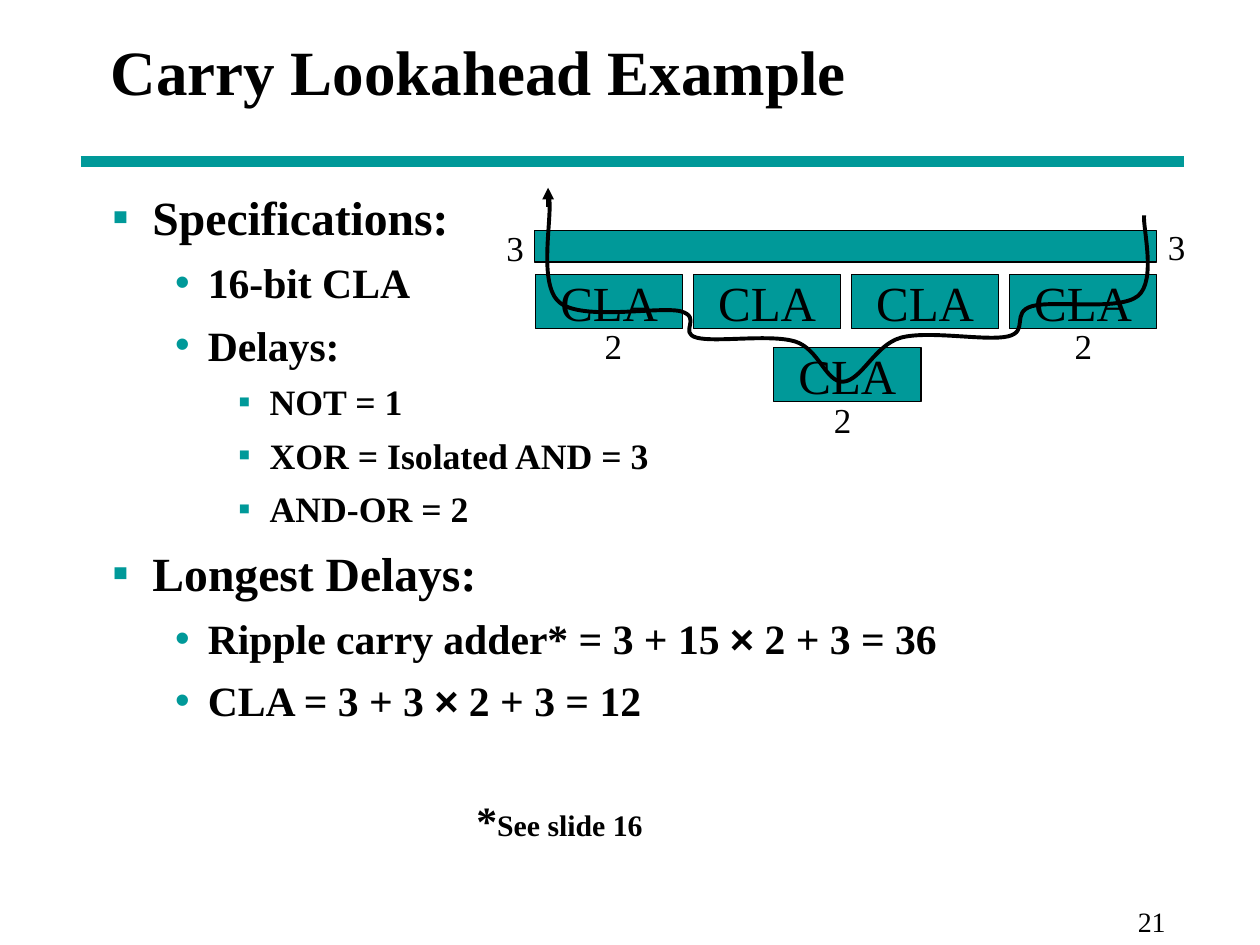
from lxml.etree import SubElement
from pptx import Presentation
from pptx.dml.color import RGBColor
from pptx.enum.shapes import MSO_CONNECTOR, MSO_SHAPE
from pptx.enum.text import MSO_ANCHOR, MSO_AUTO_SIZE, PP_ALIGN
from pptx.oxml.ns import qn
from pptx.util import Pt

PX = 9144  # 100 px to the inch
FONT, TEAL, BLACK = "Times New Roman", "009999", "000000"

TITLE = "Carry Lookahead Example"
# level, runs of (text, font)
BODY = [
    (0, [("Specifications:", FONT)]),
    (1, [("16-bit CLA", FONT)]),
    (1, [("Delays:", FONT)]),
    (2, [("NOT = 1", FONT)]),
    (2, [("XOR = Isolated AND = 3", FONT)]),
    (2, [("AND-OR = 2", FONT)]),
    (0, [("Longest Delays:", FONT)]),
    (1, [("Ripple carry adder* = 3 + 15 ", FONT), ("×", "Arial"), (" 2 + 3 = 36", FONT)]),
    (1, [("CLA = 3 + 3 ", FONT), ("×", "Arial"), (" 2 + 3 = 12", FONT)]),
]
# level: size, space before, left margin px, hanging px, bullet, bullet font
LEVELS = [(27.2, 8, 32, 32, "▪", FONT), (23.8, 7, 76, 26, "•", "Arial"),
          (20.4, 6, 125, 25, "▪", FONT)]
FOOTNOTE = [("*", 23.8), ("See slide 16", 17)]
NOTE_LEFT = 289

CLA_W, CLA_H, CLA_STEP = 117, 43, 125.4
CLA_ROW, CLA_LOW = (425, 218), (614, 276)
SUM_BAR = (424, 183, 494, 25)
DELAYS = [("3", 917, 174), ("3", 392, 175), ("2", 652, 311), ("2", 843, 253), ("2", 470, 253)]

# carry path: start, then (control, control, end) for each curve
START = (908, 171)
CURVES = [
    ((907, 181), (918, 223), (903, 235)), ((888, 247), (837, 238), (819, 243)),
    ((802, 248), (817, 263), (800, 267)), ((783, 271), (737, 262), (715, 268)),
    ((694, 274), (684, 302), (669, 303)), ((655, 303), (650, 277), (631, 271)),
    ((611, 265), (568, 272), (553, 268)), ((538, 264), (558, 252), (540, 247)),
    ((522, 243), (462, 255), (444, 240)), ((427, 226), (438, 175), (436, 158)),
]


def px(n):
    return round(n * PX)


def rgb(color):
    return RGBColor.from_string(color)


def place(sp, x, y, w, h):
    sp.left, sp.top, sp.width, sp.height = px(x), px(y), px(w), px(h)


def add_run(p, text, size, font=FONT, bold=False):
    r = p.add_run()
    r.text = text
    r.font.size, r.font.name, r.font.bold = Pt(size), font, bold
    r.font.color.rgb = rgb(BLACK)


def indent(p, left, hang, bullet=None, font=FONT):
    pPr = p._p.get_or_add_pPr()
    pPr.set("marL", str(px(left)))
    pPr.set("indent", str(-px(hang)))
    if bullet:
        clr = SubElement(pPr, qn("a:buClr"))
        SubElement(clr, qn("a:srgbClr")).set("val", TEAL)
        SubElement(pPr, qn("a:buFont")).set("typeface", font)
        SubElement(pPr, qn("a:buChar")).set("char", bullet)
    else:
        SubElement(pPr, qn("a:buNone"))


def add_line(s, x1, y1, x2, y2, color, width, arrow=False):
    c = s.shapes.add_connector(MSO_CONNECTOR.STRAIGHT, px(x1), px(y1), px(x2), px(y2))
    c.line.color.rgb, c.line.width = rgb(color), Pt(width)
    if arrow:
        SubElement(c.line._get_or_add_ln(), qn("a:tailEnd")).set("type", "triangle")
    SubElement(c._element.spPr, qn("a:effectLst"))


def add_box(s, x, y, w, h, text=None):
    sp = s.shapes.add_shape(MSO_SHAPE.RECTANGLE, px(x), px(y), px(w), px(h))
    sp.shadow.inherit = False
    sp.fill.solid()
    sp.fill.fore_color.rgb = rgb(TEAL)
    sp.line.color.rgb, sp.line.width = rgb(BLACK), Pt(0.75)
    if text:
        tf = sp.text_frame
        tf.word_wrap, tf.vertical_anchor = False, MSO_ANCHOR.MIDDLE
        tf.paragraphs[0].alignment = PP_ALIGN.CENTER
        add_run(tf.paragraphs[0], text, 28)


def add_label(s, text, x, y, w, h, size, margin=10):
    tf = s.shapes.add_textbox(px(x), px(y), px(w), px(h)).text_frame
    tf.word_wrap, tf.margin_left = True, px(margin)
    add_run(tf.paragraphs[0], text, size)


def add_curve(s, start, curves):
    fb = s.shapes.build_freeform(px(start[0]), px(start[1]))
    fb.add_line_segments([(px(x), px(y)) for c in curves for x, y in c], close=False)
    sp = fb.convert_to_shape()
    # every three line points become one cubic curve
    lines = list(sp._element.iter(qn("a:lnTo")))
    outline = lines[0].getparent()
    for i in range(0, len(lines), 3):
        cubic = SubElement(outline, qn("a:cubicBezTo"))
        for ln in lines[i:i + 3]:
            cubic.append(ln[0])
            outline.remove(ln)
    sp.shadow.inherit = False
    sp.fill.background()
    sp.line.color.rgb, sp.line.width = rgb(BLACK), Pt(2.25)


prs = Presentation()
prs.slide_width, prs.slide_height = px(1000), px(750)
s = prs.slides.add_slide(prs.slide_layouts[1])
title, body = s.placeholders

# Title and rule
place(title, 78, 0, 850, 112)
tf = title.text_frame
tf.auto_size, tf.vertical_anchor = MSO_AUTO_SIZE.NONE, MSO_ANCHOR.MIDDLE
tf.paragraphs[0].alignment = PP_ALIGN.LEFT
add_run(tf.paragraphs[0], TITLE, 36, bold=True)
add_line(s, 64, 128, 940, 128, TEAL, 6)

# Bulleted list
place(body, 79, 144, 850, 550)
tf = body.text_frame
tf.auto_size = MSO_AUTO_SIZE.NONE
for i, (level, runs) in enumerate(BODY):
    size, before, left, hang, bullet, bullet_font = LEVELS[level]
    p = tf.add_paragraph() if i else tf.paragraphs[0]
    p.level, p.space_before = level, Pt(before if i else 0)
    indent(p, left, hang, bullet, bullet_font)
    for text, font in runs:
        add_run(p, text, size, font, True)

# Footnote
p = tf.add_paragraph()
p.level, p.space_before = 1, Pt(40)
indent(p, NOTE_LEFT, 0)
for text, size in FOOTNOTE:
    add_run(p, text, size, bold=True)

# Adder blocks
x, y = CLA_ROW
for i in range(4):
    add_box(s, x + i * CLA_STEP, y, CLA_W, CLA_H, "CLA")
add_box(s, *SUM_BAR)
add_box(s, *CLA_LOW, CLA_W, CLA_H, "CLA")

# Delay labels
for text, x, y in DELAYS:
    add_label(s, text, x, y, 27, 44, 20)

# Carry path and its arrowhead
add_curve(s, START, CURVES)
add_line(s, 435, 164, 435, 149, BLACK, 2.25, arrow=True)

# Slide number
add_label(s, "21", 821, 713, 178, 37, 16, margin=82)

prs.save("out.pptx")
